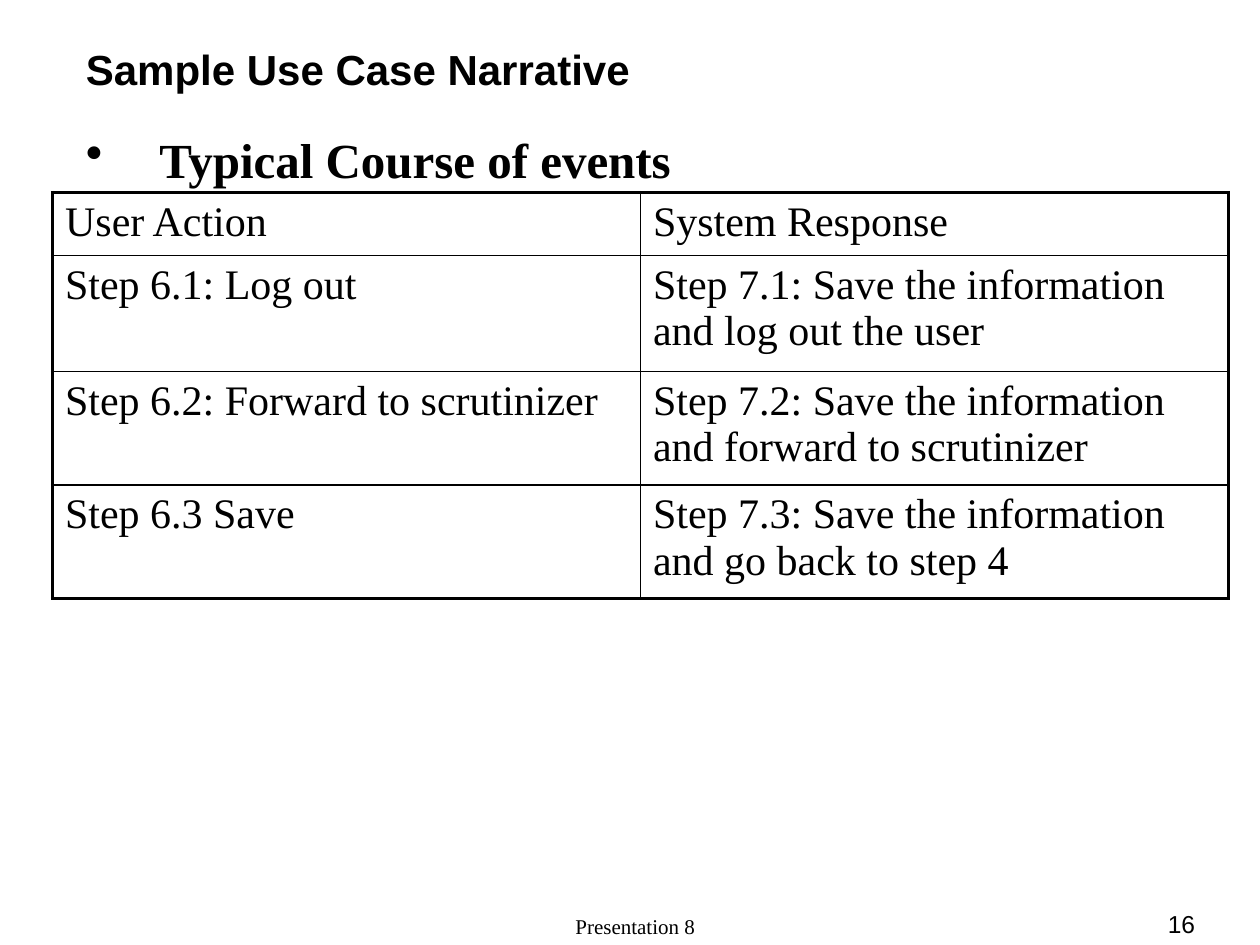
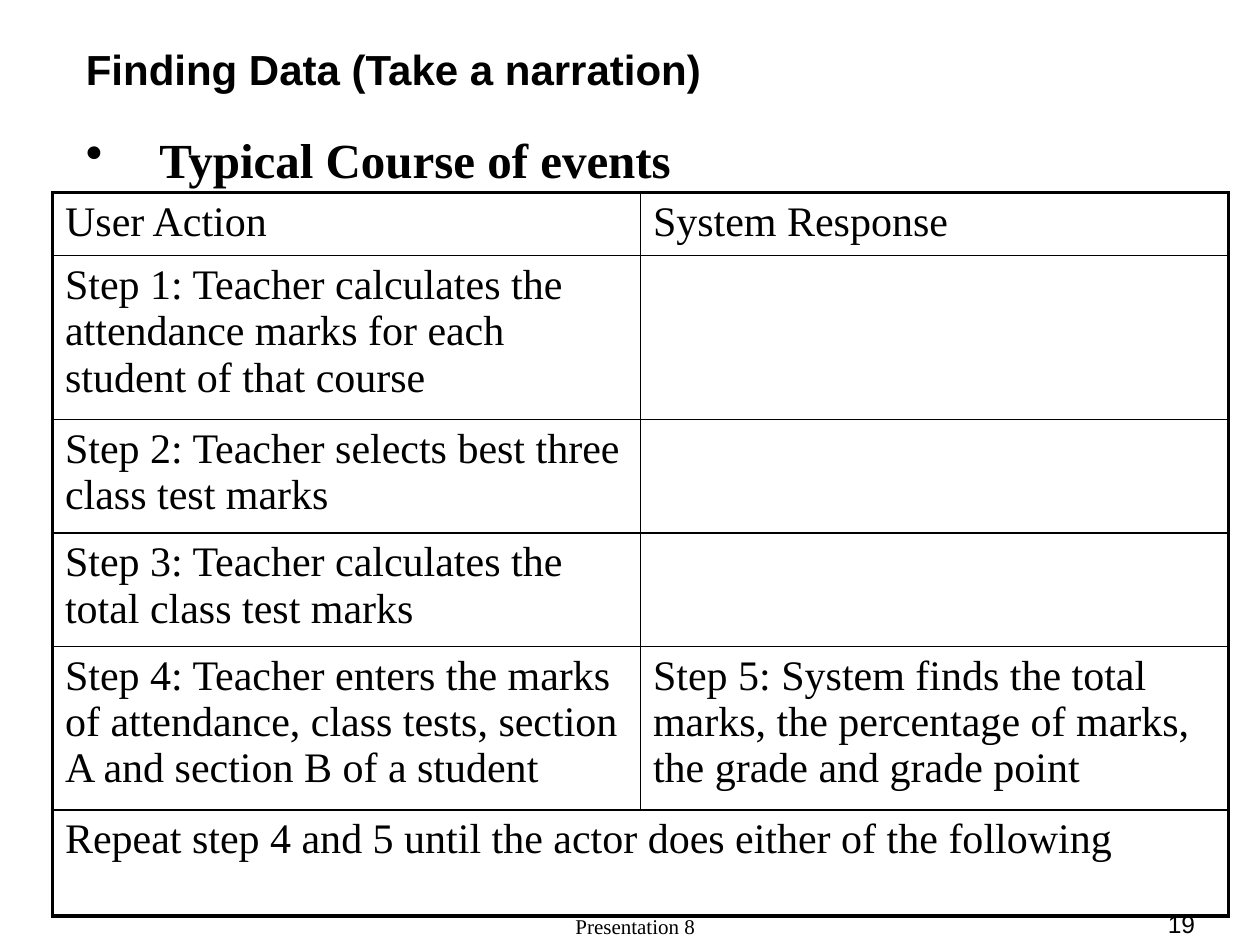
from dataclasses import dataclass

import pptx
import pptx.dml.color
import pptx.enum.text
import pptx.oxml.ns
import pptx.util
from lxml import etree

Pt = pptx.util.Pt
Align = pptx.enum.text.PP_ALIGN
Anchor = pptx.enum.text.MSO_ANCHOR
qn = pptx.oxml.ns.qn


@dataclass(frozen=True)
class Theme:
    ink: str = "000000"
    paper: str = "FFFFFF"
    sans: str = "Arial"
    serif: str = "Times New Roman"
    title_size: int = 24
    heading_size: int = 28
    table_size: int = 24
    footer_size: int = 12
    number_size: int = 14
    outer_line: float = 2.25
    inner_line: float = 1


THEME = Theme()
FOOTER = "Presentation 8"
HEADING = "Typical Course of events"
COLUMN_HEADS = ("User Action", "System Response")
TABLE_LEFT, TABLE_TOP, COLUMN_WIDTH = 30, 110, 336
HEADING_INDENT = 42

# Each row is (height, user action, system response); None joins the two columns.
LOGOUT_STEPS = [
    (36, *COLUMN_HEADS),
    (66.25, "Step 6.1: Log out",
     "Step 7.1: Save the information and log out the user"),
    (64.8, "Step 6.2: Forward to scrutinizer",
     "Step 7.2: Save the information and forward to scrutinizer"),
    (64.8, "Step 6.3 Save",
     "Step 7.3: Save the information and go back to step 4"),
]
MARKS_STEPS = [
    (36, *COLUMN_HEADS),
    (93.6, "Step 1: Teacher calculates the attendance marks for each "
           "student of that course", ""),
    (64.8, "Step 2: Teacher selects best three class test marks", ""),
    (64.8, "Step 3: Teacher calculates the total class test marks", ""),
    (93.6, "Step 4: Teacher enters the marks of attendance, class tests, "
           "section A and section B of a student",
     "Step 5: System finds the total marks, the percentage of marks, "
     "the grade and grade point"),
    (60.4, "Repeat step 4 and 5 until the actor does either of the following",
     None),
]


def rgb(value):
    return pptx.dml.color.RGBColor.from_string(value)


def set_all(target, values):
    for name, value in values.items():
        setattr(target, name, value)


def write(paragraph, text, font, size, bold=False):
    run = paragraph.add_run()
    run.text = text
    set_all(run.font, {"name": font, "size": Pt(size), "bold": bold})
    run.font.color.rgb = rgb(THEME.ink)


def add_text(slide, text, place, font, size, bold=False,
             align=Align.LEFT, **frame_format):
    box = slide.shapes.add_textbox(*(Pt(length) for length in place))
    set_all(box.text_frame, {"word_wrap": True, **frame_format})
    paragraph = box.text_frame.paragraphs[0]
    paragraph.alignment = align
    write(paragraph, text, font, size, bold)
    return paragraph


def add_bullet(paragraph, indent):
    properties = paragraph._p.get_or_add_pPr()
    properties.set("marL", str(Pt(indent)))
    properties.set("indent", str(-Pt(indent)))
    colour = etree.SubElement(properties, qn("a:buClr"))
    etree.SubElement(colour, qn("a:srgbClr"), val=THEME.ink)
    etree.SubElement(properties, qn("a:buChar"), char="•")


def add_borders(cell, outer_sides):
    """Draw the four sides, with the heavy line on the table's outer edge."""
    properties = cell._tc.get_or_add_tcPr()
    for side in "LRTB":
        width = THEME.outer_line if side in outer_sides else THEME.inner_line
        line = etree.SubElement(properties, qn(f"a:ln{side}"), w=str(Pt(width)))
        fill = etree.SubElement(line, qn("a:solidFill"))
        etree.SubElement(fill, qn("a:srgbClr"), val=THEME.ink)


def add_steps_table(slide, steps):
    column_count = len(COLUMN_HEADS)
    heights = [height for height, *_ in steps]
    table = slide.shapes.add_table(
        len(steps), column_count, Pt(TABLE_LEFT), Pt(TABLE_TOP),
        Pt(COLUMN_WIDTH * column_count), Pt(sum(heights))).table
    set_all(table, {"first_row": False, "horz_banding": False})
    for column in table.columns:
        column.width = Pt(COLUMN_WIDTH)

    for row, (height, *texts) in enumerate(steps):
        table.rows[row].height = Pt(height)
        joined = None in texts
        if joined:
            table.cell(row, 0).merge(table.cell(row, column_count - 1))
        for column, text in enumerate(texts):
            cell = table.cell(row, column)
            edges = {"L": column == 0,
                     "R": joined or column == column_count - 1,
                     "T": row == 0,
                     "B": row == len(steps) - 1}
            add_borders(cell, [side for side, outer in edges.items() if outer])
            cell.fill.background()
            if text:
                write(cell.text_frame.paragraphs[0], text,
                      THEME.serif, THEME.table_size)


def add_narrative_slide(deck, title, number, steps):
    slide = deck.slides.add_slide(deck.slide_layouts[6])
    slide.background.fill.solid()
    slide.background.fill.fore_color.rgb = rgb(THEME.paper)
    add_text(slide, FOOTER, (246, 522, 234, 18), THEME.serif, THEME.footer_size,
             align=Align.CENTER, vertical_anchor=Anchor.BOTTOM)
    add_text(slide, str(number), (606, 522, 84, 18), THEME.sans,
             THEME.number_size, align=Align.RIGHT, vertical_anchor=Anchor.BOTTOM)
    add_text(slide, title, (42, 18, 678, 42), THEME.sans, THEME.title_size,
             bold=True, vertical_anchor=Anchor.MIDDLE)
    heading = add_text(slide, HEADING, (42, 72, 659, 42), THEME.serif,
                       THEME.heading_size, bold=True, margin_top=Pt(2))
    add_bullet(heading, HEADING_INDENT)
    add_steps_table(slide, steps)


def main():
    deck = pptx.Presentation()
    set_all(deck, {"slide_width": Pt(720), "slide_height": Pt(540)})
    add_narrative_slide(deck, "Sample Use Case Narrative", 16, LOGOUT_STEPS)
    add_narrative_slide(deck, "Finding Data (Take a narration)", 19, MARKS_STEPS)
    deck.save("out.pptx")


if __name__ == "__main__":
    main()
